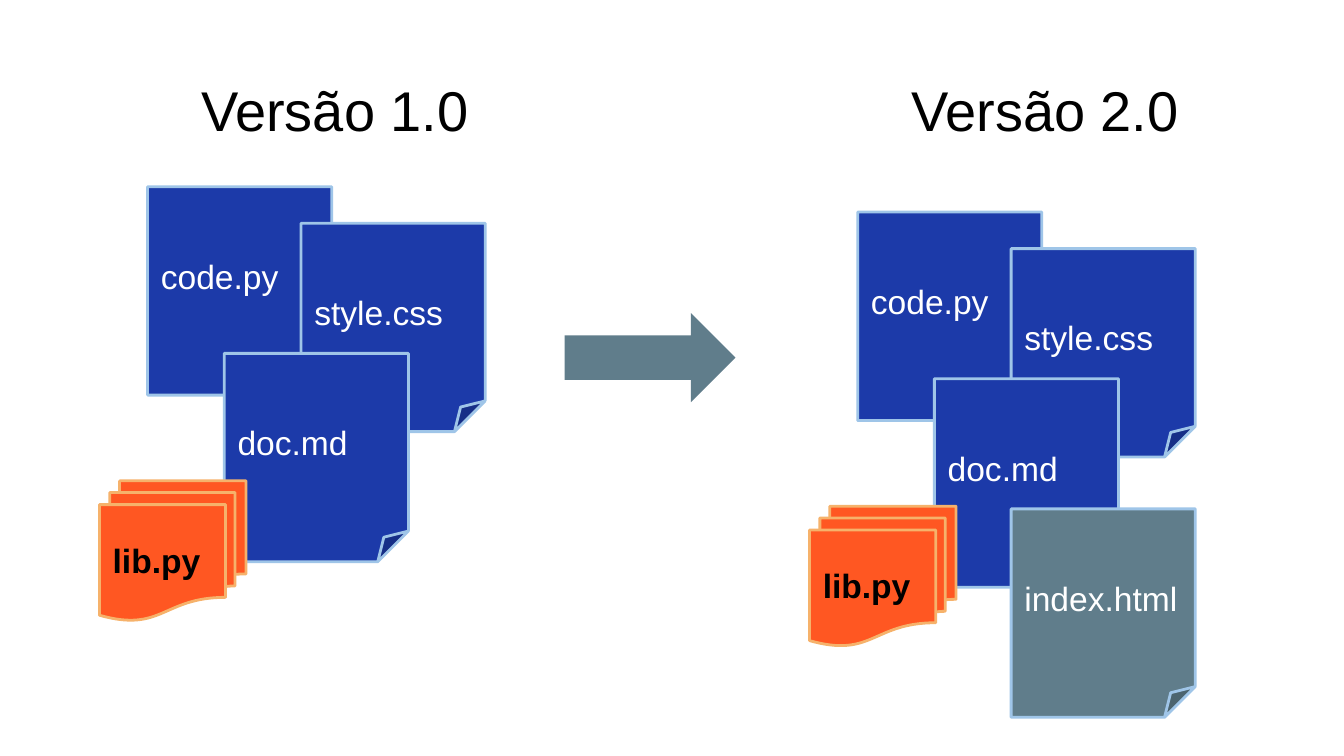
from dataclasses import dataclass

from pptx import Presentation
from pptx import util as u
from pptx.dml.color import RGBColor
from pptx.enum import shapes, text

BLUE = RGBColor(0x1C, 0x3A, 0xA9)
LIGHT_BLUE = RGBColor(0x9F, 0xC5, 0xE8)
ORANGE = RGBColor(0xFF, 0x57, 0x22)
LIGHT_ORANGE = RGBColor(0xF6, 0xB2, 0x6B)
SLATE = RGBColor(0x60, 0x7D, 0x8B)
WHITE = RGBColor(0xFF, 0xFF, 0xFF)
BLACK = RGBColor(0x00, 0x00, 0x00)

FONT = "Arial"
INSET = u.Cm(0.25)
TITLE_TOP = 1.17


@dataclass(frozen=True)
class Style:
    kind: shapes.MSO_SHAPE
    width: float
    height: float
    fill: RGBColor
    line: RGBColor
    color: RGBColor
    bold: bool = False


@dataclass(frozen=True)
class File:
    """A file, placed in cm from the corner of its version's stack."""
    name: str
    dx: float
    dy: float
    style: Style


@dataclass(frozen=True)
class Version:
    title: str
    left: float
    top: float
    files: tuple[File, ...]


PAGE = Style(shapes.MSO_SHAPE.FOLDED_CORNER, 3.48, 3.94, BLUE, LIGHT_BLUE, WHITE)
NEW_PAGE = Style(shapes.MSO_SHAPE.FOLDED_CORNER, 3.48, 3.94, SLATE, LIGHT_BLUE, WHITE)
LIBRARY = Style(shapes.MSO_SHAPE.FLOWCHART_MULTIDOCUMENT, 2.77, 2.64,
                ORANGE, LIGHT_ORANGE, BLACK, bold=True)

COMMON_FILES = (
    File("code.py", 0, 0, PAGE),
    File("style.css", 2.9, 0.69, PAGE),
    File("doc.md", 1.45, 3.15, PAGE),
    File("lib.py", -0.91, 5.56, LIBRARY),
)
VERSIONS = (
    Version("Versão 1.0", 2.79, 3.53, COMMON_FILES),
    Version("Versão 2.0", 16.21, 4.01,
            COMMON_FILES + (File("index.html", 2.9, 5.61, NEW_PAGE),)),
)


def write(sp, content: str, size: int, color: RGBColor, align: text.PP_ALIGN,
          anchor: text.MSO_ANCHOR, bold: bool = False) -> None:
    tf = sp.text_frame
    tf.text = content
    tf.word_wrap = True
    tf.vertical_anchor = anchor
    tf.margin_left = tf.margin_right = tf.margin_top = tf.margin_bottom = INSET
    p = tf.paragraphs[0]
    p.alignment = align
    r = p.runs[0]
    r.font.name = FONT
    r.font.size = u.Pt(size)
    r.font.bold = bold
    r.font.color.rgb = color


def add_filled(s, kind: shapes.MSO_SHAPE, left: float, top: float,
               width: float, height: float, fill: RGBColor):
    sp = s.shapes.add_shape(kind, u.Cm(left), u.Cm(top), u.Cm(width), u.Cm(height))
    sp.shadow.inherit = False
    sp.fill.solid()
    sp.fill.fore_color.rgb = fill
    return sp


def draw_file(s, file: File, left: float, top: float) -> None:
    st = file.style
    sp = add_filled(s, st.kind, left + file.dx, top + file.dy, st.width, st.height, st.fill)
    sp.line.color.rgb = st.line
    sp.line.width = u.Pt(1.5)
    write(sp, file.name, 18, st.color, text.PP_ALIGN.LEFT, text.MSO_ANCHOR.MIDDLE, st.bold)


def draw_version(s, version: Version) -> None:
    for file in version.files:
        draw_file(s, file, version.left, version.top)
    title = s.shapes.add_textbox(u.Cm(version.left + 0.16), u.Cm(TITLE_TOP),
                                 u.Cm(6.76), u.Cm(1.68))
    write(title, version.title, 30, BLACK, text.PP_ALIGN.CENTER, text.MSO_ANCHOR.TOP)


def draw_arrow(s) -> None:
    sp = add_filled(s, shapes.MSO_SHAPE.RIGHT_ARROW, 10.67, 5.92, 3.23, 1.68, SLATE)
    sp.line.fill.background()


def main() -> None:
    prs = Presentation()
    prs.slide_width, prs.slide_height = u.Cm(25.4), u.Cm(14.29)
    s = prs.slides.add_slide(prs.slide_layouts[6])
    for version in VERSIONS:
        draw_version(s, version)
    draw_arrow(s)
    prs.save("out.pptx")


if __name__ == "__main__":
    main()
